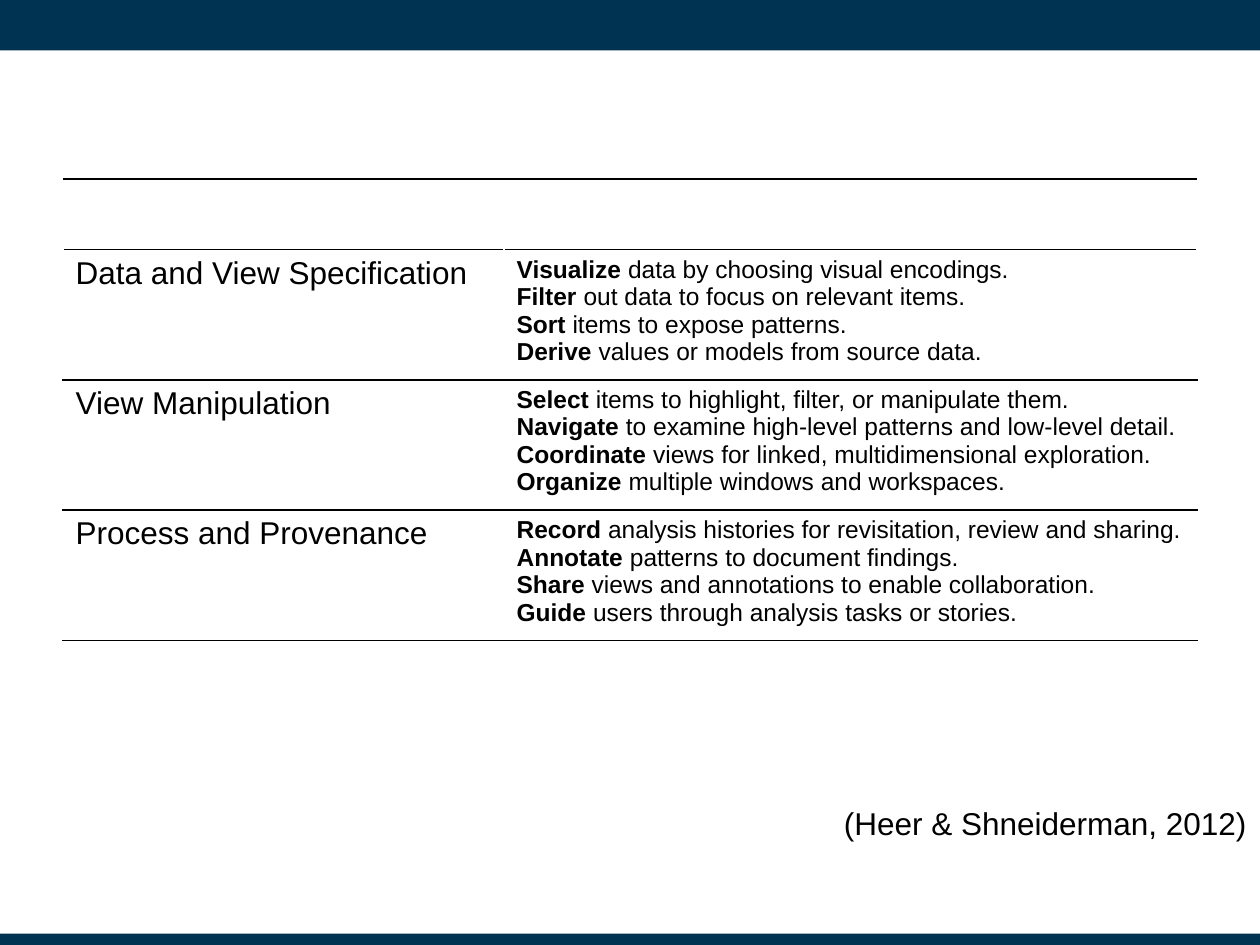
from lxml import etree
from pptx import Presentation
from pptx.dml.color import RGBColor
from pptx.enum.shapes import MSO_CONNECTOR, MSO_SHAPE
from pptx.enum.text import MSO_AUTO_SIZE
from pptx.oxml.ns import qn
from pptx.util import Inches, Pt

RECTANGLE = MSO_SHAPE.RECTANGLE
STRAIGHT = MSO_CONNECTOR.STRAIGHT
FIT_SHAPE = MSO_AUTO_SIZE.SHAPE_TO_FIT_TEXT

NAVY = RGBColor(0x00, 0x32, 0x52)
BLACK = RGBColor(0x00, 0x00, 0x00)
WHITE = RGBColor(0xFF, 0xFF, 0xFF)
FONT = "Arial"

BORDERS = (("a:lnL", WHITE), ("a:lnR", WHITE), ("a:lnT", BLACK), ("a:lnB", BLACK))
COLUMN_WIDTHS = (3.5, 5.5)

TAXONOMY = (
    ("Data and View Specification", (
        ("Visualize ", "data by choosing visual encodings."),
        ("Filter ", "out data to focus on relevant items."),
        ("Sort ", "items to expose patterns."),
        ("Derive ", "values or models from source data."),
    )),
    ("View Manipulation", (
        ("Select ", "items to highlight, filter, or manipulate them."),
        ("Navigate ", "to examine high-level patterns and low-level detail."),
        ("Coordinate ", "views for linked, multidimensional exploration."),
        ("Organize ", "multiple windows and workspaces."),
    )),
    ("Process and Provenance", (
        ("Record ", "analysis histories for revisitation, review and sharing."),
        ("Annotate ", "patterns to document findings."),
        ("Share ", "views and annotations to enable collaboration."),
        ("Guide ", "users through analysis tasks or stories."),
    )),
)


def add_run(paragraph, text, size, bold=False):
    """Append one formatted run to a paragraph."""
    run = paragraph.add_run()
    run.text = text
    run.font.name = FONT
    run.font.size = Pt(size)
    run.font.bold = bold
    run.font.color.rgb = BLACK


def add_band(slide, left, top, width, height):
    """Draw a plain navy band across the given box."""
    band = slide.shapes.add_shape(
        RECTANGLE, Inches(left), Inches(top), Inches(width), Inches(height))
    band.shadow.inherit = False
    band.fill.solid()
    band.fill.fore_color.rgb = NAVY
    band.line.fill.background()


def add_title_rule(slide, left, top, width):
    """Draw the horizontal rule under the title area."""
    rule = slide.shapes.add_connector(
        STRAIGHT, Inches(left), Inches(top), Inches(left + width), Inches(top))
    rule.line.color.rgb = BLACK
    rule.line.width = Pt(1.25)
    etree.SubElement(rule._element.spPr, qn("a:effectLst"))


def format_cell(cell):
    """Give a cell its borders and white fill."""
    properties = cell._tc.get_or_add_tcPr()
    for tag, color in BORDERS:
        border = etree.SubElement(properties, qn(tag), w=str(Pt(1)))
        fill = etree.SubElement(border, qn("a:solidFill"))
        etree.SubElement(fill, qn("a:srgbClr"), val=str(color))
    cell.fill.solid()
    cell.fill.fore_color.rgb = WHITE


def add_taxonomy_table(slide, left, top, width, height):
    """Place the table of task categories and their tasks."""
    table = slide.shapes.add_table(
        len(TAXONOMY), len(COLUMN_WIDTHS),
        Inches(left), Inches(top), Inches(width), Inches(height)).table
    table.first_row = False
    table.horz_banding = False
    for column, column_width in zip(table.columns, COLUMN_WIDTHS):
        column.width = Inches(column_width)
    for row, (category, tasks) in zip(table.rows, TAXONOMY):
        category_cell, task_cell = row.cells
        format_cell(category_cell)
        format_cell(task_cell)
        add_run(category_cell.text_frame.paragraphs[0], category, 18)
        frame = task_cell.text_frame
        for index, (verb, description) in enumerate(tasks):
            paragraph = frame.add_paragraph() if index else frame.paragraphs[0]
            add_run(paragraph, verb, 14, bold=True)
            add_run(paragraph, description, 14)


def add_citation(slide, left, top, width, height):
    """Place the citation in the lower right."""
    citation = slide.shapes.add_textbox(
        Inches(left), Inches(top), Inches(width), Inches(height))
    frame = citation.text_frame
    frame.word_wrap = False
    frame.auto_size = FIT_SHAPE
    add_run(frame.paragraphs[0], "(Heer & Shneiderman, 2012)", 18)


def main():
    """Build the slide and save it."""
    presentation = Presentation()
    presentation.slide_width = Inches(10)
    presentation.slide_height = Inches(7.5)
    slide = presentation.slides.add_slide(presentation.slide_layouts[6])
    add_band(slide, 0, 0, 10, 0.4)
    add_band(slide, 0, 7.41, 10, 0.1)
    add_title_rule(slide, 0.5, 1.42, 9)
    add_citation(slide, 6.6, 6.33, 3.4, 0.4)
    add_taxonomy_table(slide, 0.5, 1.98, 9, 3.1)
    presentation.save("out.pptx")


if __name__ == "__main__":
    main()
